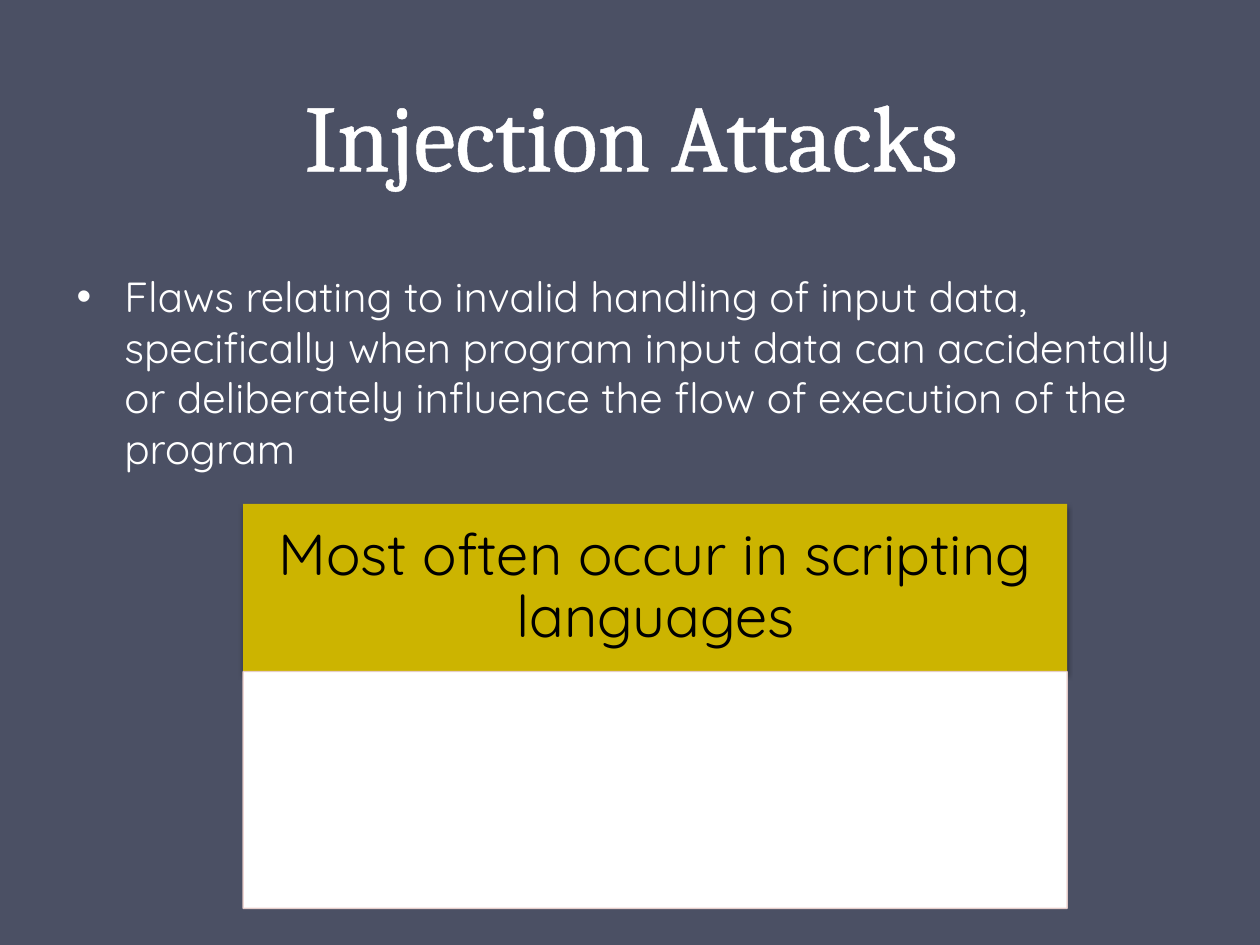
from lxml import etree
from pptx import Presentation
from pptx.dml.color import RGBColor
from pptx.enum.shapes import MSO_SHAPE
from pptx.enum.text import MSO_ANCHOR, PP_ALIGN
from pptx.oxml import parse_xml
from pptx.util import Inches, Pt

RECT = MSO_SHAPE.RECTANGLE
TOP, MIDDLE, BOTTOM = MSO_ANCHOR.TOP, MSO_ANCHOR.MIDDLE, MSO_ANCHOR.BOTTOM
LEFT, CENTER = PP_ALIGN.LEFT, PP_ALIGN.CENTER
NS = "http://schemas.openxmlformats.org/drawingml/2006/main"
COLORS = {"bg": "4B5064", "white": "FFFFFF", "black": "000000",
          "gold": "CCB400", "border": "EED3D0"}


def rgb(name):
    return RGBColor.from_string(COLORS[name])


def add_text(shapes, text, box, size, font, color, align=LEFT, anchor=TOP,
             inset=(0.1, 0.05), spacing=None, before=0, after=0):
    sp = shapes.add_textbox(*map(Inches, box))
    tf = sp.text_frame
    tf.word_wrap = True
    tf.vertical_anchor = anchor
    tf.margin_left = tf.margin_right = Inches(inset[0])
    tf.margin_top = tf.margin_bottom = Inches(inset[1])
    p = tf.paragraphs[0]
    p.alignment = align
    p.line_spacing = spacing
    p.space_before, p.space_after = Pt(before), Pt(after)
    r = p.add_run()
    r.text = text
    r.font.size, r.font.name = Pt(size), font
    r.font.color.rgb = rgb(color)
    return p


prs = Presentation()
prs.slide_width, prs.slide_height = Inches(10), Inches(7.5)
s = prs.slides.add_slide(prs.slide_layouts[6])
s.background.fill.solid()
s.background.fill.fore_color.rgb = rgb("bg")

title = add_text(s.shapes, "Injection Attacks", (0.51, -0.19, 9, 1.75), 54,
                 "Cambria", "white", CENTER, BOTTOM, spacing=Pt(58))
outline = parse_xml(
    f'<a:ln xmlns:a="{NS}" w="{Pt(1.45)}"><a:solidFill>'
    f'<a:srgbClr val="{COLORS["white"]}"/></a:solidFill></a:ln>')
title.runs[0].font._element.insert(0, outline)

body = add_text(
    s.shapes,
    "Flaws relating to invalid handling of input data, specifically when "
    "program input data can accidentally or deliberately influence the flow "
    "of execution of the program",
    (0.51, 2.1, 9, 2.25), 24, "Quicksand", "white", before=4.8)
pPr = body._p.get_or_add_pPr()
pPr.set("marL", str(Inches(0.38)))
pPr.set("indent", str(Inches(-0.38)))
etree.SubElement(pPr, f"{{{NS}}}buFont", typeface="Arial")
etree.SubElement(pPr, f"{{{NS}}}buChar", char="•")

group = s.shapes.add_group_shape()
x, y, w, header_h, panel_h = 1.93, 4, 6.54, 1.33, 1.88
header_box = (x, y, w, header_h)
panel_box = (x, y + header_h, w, panel_h)

header = group.shapes.add_shape(RECT, *map(Inches, header_box))
header.fill.solid()
header.fill.fore_color.rgb = rgb("gold")
header.line.fill.background()
header._element.spPr.append(parse_xml(
    f'<a:effectLst xmlns:a="{NS}"><a:outerShdw blurRad="{Pt(3.1)}" '
    f'dist="{Pt(1.8)}" dir="5400000" rotWithShape="0">'
    f'<a:srgbClr val="{COLORS["black"]}"><a:alpha val="35000"/></a:srgbClr>'
    '</a:outerShdw></a:effectLst>'))

add_text(group.shapes, "Most often occur in scripting languages", header_box,
         33, "Quicksand", "black", CENTER, MIDDLE, (0.26, 0.15), 0.9,
         after=11.55)

panel = group.shapes.add_shape(RECT, *map(Inches, panel_box))
panel.shadow.inherit = False
panel.fill.solid()
panel.fill.fore_color.rgb = rgb("white")
panel.line.color.rgb = rgb("border")
panel.line.width = Pt(0.75)
line_color = panel._element.spPr.find(f".//{{{NS}}}ln//{{{NS}}}srgbClr")
etree.SubElement(line_color, f"{{{NS}}}alpha", val="90000")

prs.save("out.pptx")
